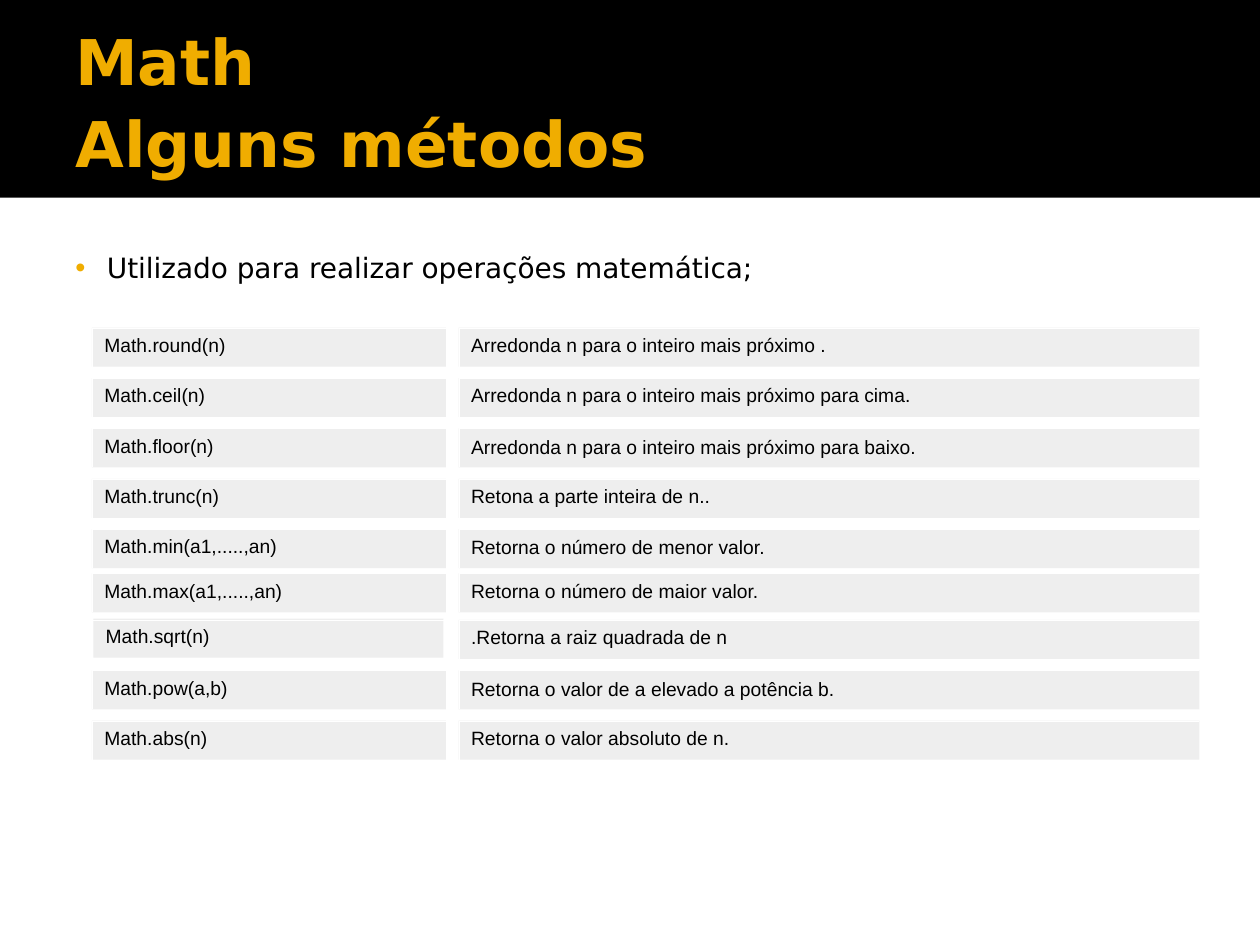
import itertools

import pptx
import pptx.dml.color
import pptx.enum.shapes
import pptx.enum.text
import pptx.oxml.ns
import pptx.util
from lxml import etree

WIDTH, HEIGHT = 10, 7.5
GOLD, BLACK, GRAY, WHITE = "F0AD00", "000000", "EEEEEE", "FFFFFF"
NAME_WIDTH, GAP = 2.81, 0.1
METHODS = [
    ("Math.round(n)", "Arredonda n para o inteiro mais próximo .", 0.4, 0.06, 0.94),
    ("Math.ceil(n)", "Arredonda n para o inteiro mais próximo para cima.", 0.4, 0.06, 0.94),
    ("Math.floor(n)", "Arredonda n para o inteiro mais próximo para baixo.", 0.4, 0.07, 0.94),
    ("Math.trunc(n)", "Retona a parte inteira de n..", 0.4, 0.07, 0.87),
    ("Math.min(a1,.....,an)", "Retorna o número de menor valor.", 0.35, 0.07, 0.87),
    ("Math.max(a1,.....,an)", "Retorna o número de maior valor.", 0.37, 0.07, 0.87),
    ("Math.sqrt(n)", ".Retorna a raiz quadrada de n", 0.4, 0.07, 0.87),
    ("Math.pow(a,b)", "Retorna o valor de a elevado a potência b.", 0.4, 0.07, 0.94),
    ("Math.abs(n)", "Retorna o valor absoluto de n.", 0.4, 0.07, 0.87),
]


def color(value):
    return pptx.dml.color.RGBColor.from_string(value)


def inches(box):
    return [pptx.util.Inches(length) for length in box]


def add_rectangle(slide, box, fill):
    shape = slide.shapes.add_shape(pptx.enum.shapes.MSO_SHAPE.RECTANGLE, *inches(box))
    shape.shadow.inherit = False
    shape.fill.solid()
    shape.fill.fore_color.rgb = color(fill)
    shape.line.fill.background()
    return shape


def add_line(slide, ends):
    straight = pptx.enum.shapes.MSO_CONNECTOR.STRAIGHT
    connector = slide.shapes.add_connector(straight, *inches(ends))
    connector.line.color.rgb = color(WHITE)
    connector.line.width = pptx.util.Pt(0.06)
    etree.SubElement(connector._element.spPr, pptx.oxml.ns.qn("a:effectLst"))


def prepare_text(shape, anchor=pptx.enum.text.MSO_ANCHOR.TOP, top=0.05):
    frame = shape.text_frame
    frame.word_wrap = True
    frame.vertical_anchor = anchor
    frame.margin_left = frame.margin_right = pptx.util.Inches(0.1)
    frame.margin_top = pptx.util.Inches(top)
    frame.margin_bottom = pptx.util.Inches(0.05)
    paragraph = frame.paragraphs[0]
    paragraph.alignment = pptx.enum.text.PP_ALIGN.LEFT
    return paragraph


def add_run(paragraph, text, size, font, fill, bold=False):
    run = paragraph.add_run()
    run.text = text
    run.font.size = pptx.util.Pt(size)
    run.font.name = font
    run.font.bold = bold
    run.font.color.rgb = color(fill)


def add_bullet(paragraph, indent):
    properties = paragraph._p.get_or_add_pPr()
    properties.set("marL", str(pptx.util.Inches(indent)))
    properties.set("indent", str(-pptx.util.Inches(indent)))
    qualify = pptx.oxml.ns.qn
    bullet_color = etree.SubElement(properties, qualify("a:buClr"))
    etree.SubElement(bullet_color, qualify("a:srgbClr"), val=GOLD)
    etree.SubElement(properties, qualify("a:buSzPct"), val="103000")
    etree.SubElement(properties, qualify("a:buFont"), typeface="Arial")
    etree.SubElement(properties, qualify("a:buChar"), char="•")


def add_header(slide, box):
    left, top, width, height = box
    add_rectangle(slide, box, BLACK)
    title_box = (left + 0.05 * width, top + 0.17, 0.9 * width, height - 0.2)
    title = slide.shapes.add_textbox(*inches(title_box))
    paragraph = prepare_text(title, pptx.enum.text.MSO_ANCHOR.MIDDLE)
    paragraph.line_spacing = 0.9
    paragraph.space_after = pptx.util.Pt(5.6)
    add_run(paragraph, "Math", 36, "DejaVu Sans", GOLD, True)
    paragraph.add_line_break()
    add_run(paragraph, "Alguns métodos", 36, "DejaVu Sans", GOLD, True)
    add_run(paragraph, " ", 45, "Cabin", GOLD, True)


def add_introduction(slide, box):
    paragraph = prepare_text(slide.shapes.add_textbox(*inches(box)))
    add_bullet(paragraph, 0.25)
    paragraph.alignment = pptx.enum.text.PP_ALIGN.JUSTIFY
    paragraph.space_after = pptx.util.Pt(14.3)
    add_run(paragraph, "Utilizado para realizar operações matemática;", 16, "DejaVu Sans", BLACK)


def add_cell(slide, box, text, inset, spacing):
    paragraph = prepare_text(add_rectangle(slide, box, GRAY), top=inset)
    paragraph.line_spacing = spacing
    add_run(paragraph, text, 11, "Arial", BLACK)


def add_methods(slide, box):
    left, top, width, row_height = box
    description_left = left + NAME_WIDTH + GAP
    description_width = width - NAME_WIDTH - GAP
    for name, description, step, inset, spacing in METHODS:
        shift = 0.01 if name == "Math.sqrt(n)" else 0
        name_box = (left + shift, top - shift, NAME_WIDTH - 3 * shift, row_height)
        add_cell(slide, name_box, name, 0.06, 0.93)
        description_box = (description_left, top, description_width, row_height)
        add_cell(slide, description_box, description, inset, spacing)
        top += step


def add_rules(slide, box):
    left, top, width, row_height = box
    steps = [method[2] for method in METHODS] + [0.4, 0.4]
    tops = list(itertools.accumulate(steps, initial=top))
    right = left + width
    description_left = left + NAME_WIDTH + GAP
    columns = [(left, left + NAME_WIDTH), (description_left, right)]
    for y, (start, end) in itertools.product(tops, columns):
        add_line(slide, (start, y, end, y))
    for x, y in itertools.product((left, description_left, right + GAP), tops[:-1]):
        add_line(slide, (x, y, x, y + row_height))


def main():
    presentation = pptx.Presentation()
    presentation.slide_width = pptx.util.Inches(WIDTH)
    presentation.slide_height = pptx.util.Inches(HEIGHT)
    slide = presentation.slides.add_slide(presentation.slide_layouts[6])
    add_header(slide, (0, 0, WIDTH, 1.57))
    add_introduction(slide, (0.05 * WIDTH, 1.94, 0.9 * WIDTH, 5.06))
    methods_box = (0.73, 2.6, 8.79, 0.31)
    add_methods(slide, methods_box)
    add_rules(slide, methods_box)
    presentation.save("out.pptx")


if __name__ == "__main__":
    main()
